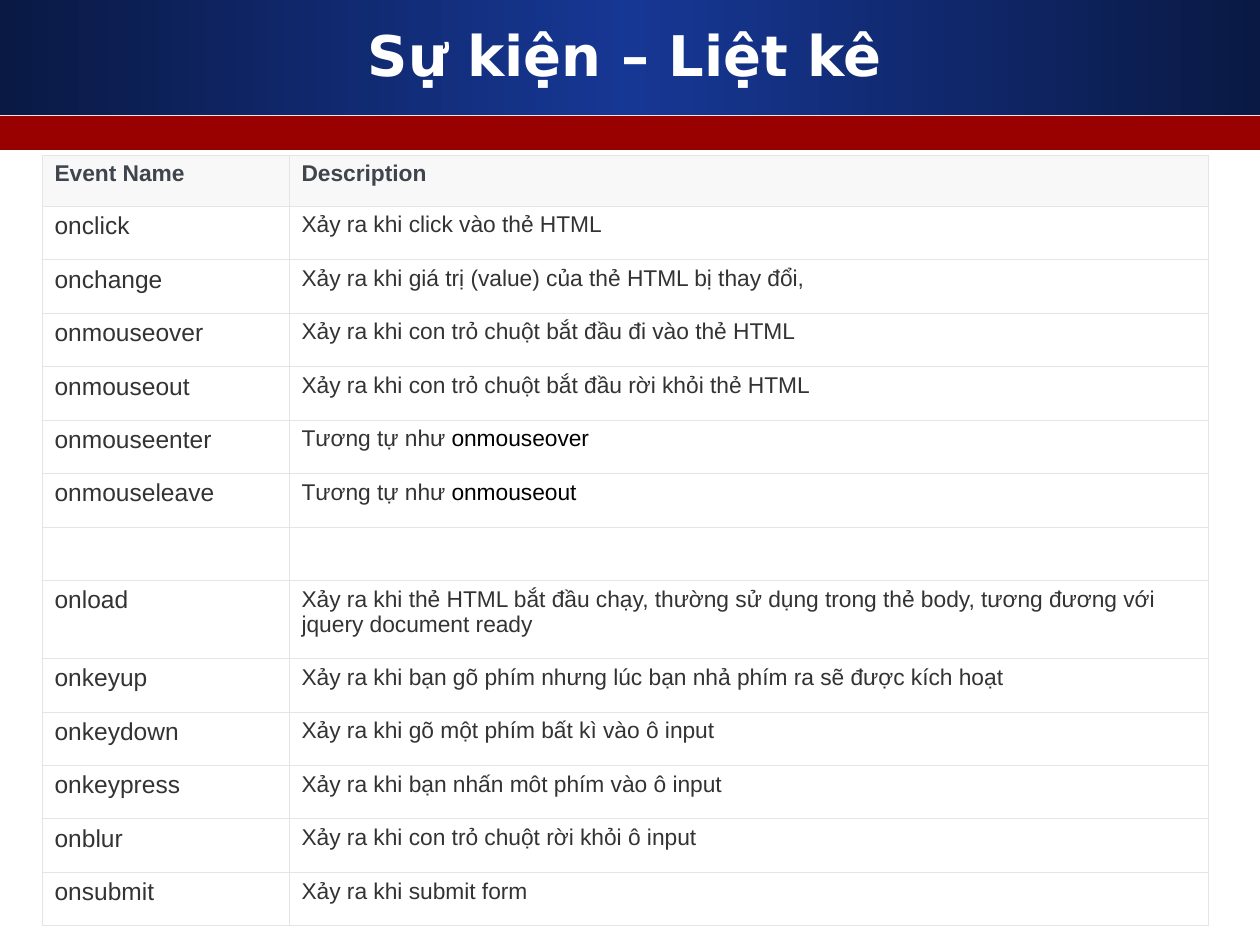
from copy import deepcopy

from lxml import etree
from pptx import Presentation
from pptx.dml.color import RGBColor
from pptx.enum.shapes import MSO_SHAPE
from pptx.enum.text import MSO_ANCHOR, PP_ALIGN
from pptx.oxml.ns import qn
from pptx.util import Pt

RECTANGLE = MSO_SHAPE.RECTANGLE
MIDDLE = MSO_ANCHOR.MIDDLE
CENTER = PP_ALIGN.CENTER

TITLE = "Sự kiện – Liệt kê"
HEADINGS = ("Event Name", "Description")
# Each description is a list of pieces; a second piece names a related event.
EVENTS = [
    ("onclick", ["Xảy ra khi click vào thẻ HTML"]),
    ("onchange", ["Xảy ra khi giá trị (value) của thẻ HTML bị thay đổi,"]),
    ("onmouseover", ["Xảy ra khi con trỏ chuột bắt đầu đi vào thẻ HTML"]),
    ("onmouseout", ["Xảy ra khi con trỏ chuột bắt đầu rời khỏi thẻ HTML"]),
    ("onmouseenter", ["Tương tự như ", "onmouseover"]),
    ("onmouseleave", ["Tương tự như ", "onmouseout"]),
    ("", []),
    ("onload", ["Xảy ra khi thẻ HTML bắt đầu chạy, thường sử dụng trong thẻ body, "
                "tương đương với jquery document ready"]),
    ("onkeyup", ["Xảy ra khi bạn gõ phím nhưng lúc bạn nhả phím ra sẽ được kích hoạt"]),
    ("onkeydown", ["Xảy ra khi gõ một phím bất kì vào ô input"]),
    ("onkeypress", ["Xảy ra khi bạn nhấn môt phím vào ô input"]),
    ("onblur", ["Xảy ra khi con trỏ chuột rời khỏi ô input"]),
    ("onsubmit", ["Xảy ra khi submit form"]),
]
TWO_LINE_EVENT = "onload"

NAVY, BLUE, RED, WHITE = "0A1944", "163794", "990000", "FFFFFF"
HEADING_FILL, HEADING_TEXT = "F8F8F8", "40454D"
BODY_TEXT, RELATED_TEXT, BORDER = "333333", "000000", "E5E5E5"

PX = 914400 // 126
SLIDE = (1260, 945)
BANNER = (0, 0, 1260, 115)
STRIPE = (0, 116, 1260, 34)
TITLE_BOX = (42, 21, 1166, 78)
TABLE_BOX = (42, 155, 1166, 771)
NAME_WIDTH, HEADING_HEIGHT, TWO_LINE_HEIGHT = 247, 51, 78


def px(*lengths):
    return [round(length * PX) for length in lengths]


def color(hex_string):
    return RGBColor.from_string(hex_string)


def add_band(slide, box):
    band = slide.shapes.add_shape(RECTANGLE, *px(*box))
    band.shadow.inherit = False
    band.line.fill.background()
    return band


def fill_gradient(shape, edge, middle):
    """Fill from edge to middle and back to edge, left to right."""
    fill = shape.fill
    fill.gradient()
    fill.gradient_angle = 0
    stops = shape._element.spPr.find(qn("a:gradFill")).find(qn("a:gsLst"))
    stops.insert(1, deepcopy(stops[0]))
    for stop, position, shade in zip(fill.gradient_stops, (0, 0.5, 1), (edge, middle, edge)):
        stop.position = position
        stop.color.rgb = color(shade)


def style_font(font, name, size, shade, bold=False):
    font.name, font.size, font.bold = name, Pt(size), bold
    font.color.rgb = color(shade)


def add_borders(cell):
    properties = cell._tc.get_or_add_tcPr()
    for index, side in enumerate(("lnL", "lnR", "lnT", "lnB")):
        line = etree.Element(qn(f"a:{side}"), w=str(Pt(0.34)))
        solid = etree.SubElement(line, qn("a:solidFill"))
        etree.SubElement(solid, qn("a:srgbClr"), val=BORDER)
        properties.insert(index, line)


def fill_cell(cell, pieces, size, shades, background, bold=False):
    cell.fill.solid()
    cell.fill.fore_color.rgb = color(background)
    add_borders(cell)
    paragraph = cell.text_frame.paragraphs[0]
    paragraph.space_after = Pt(15)
    for piece, shade in zip(pieces, shades):
        run = paragraph.add_run()
        run.text = piece
        style_font(run.font, "Arial", size, shade, bold)


def add_title(slide):
    frame = slide.shapes.add_textbox(*px(*TITLE_BOX)).text_frame
    frame.word_wrap = True
    frame.vertical_anchor = MIDDLE
    frame.text = TITLE
    paragraph = frame.paragraphs[0]
    paragraph.alignment = CENTER
    paragraph.line_spacing = 0.8
    style_font(paragraph.runs[0].font, "DejaVu Sans", 32, WHITE, True)


def add_event_table(slide):
    table = slide.shapes.add_table(len(EVENTS) + 1, 2, *px(*TABLE_BOX)).table
    width, height = TABLE_BOX[2:]
    table.columns[0].width, table.columns[1].width = px(NAME_WIDTH, width - NAME_WIDTH)

    one_line_height = (height - HEADING_HEIGHT - TWO_LINE_HEIGHT) / (len(EVENTS) - 1)
    heights = [HEADING_HEIGHT] + [
        TWO_LINE_HEIGHT if name == TWO_LINE_EVENT else one_line_height for name, _ in EVENTS]
    for row, row_height in zip(table.rows, px(*heights)):
        row.height = row_height

    for column, heading in enumerate(HEADINGS):
        fill_cell(table.cell(0, column), [heading], 13, [HEADING_TEXT], HEADING_FILL, True)
    for row, (name, description) in enumerate(EVENTS, 1):
        fill_cell(table.cell(row, 0), [name] if name else [], 14, [BODY_TEXT], WHITE)
        fill_cell(table.cell(row, 1), description, 13, [BODY_TEXT, RELATED_TEXT], WHITE)


def main():
    presentation = Presentation()
    presentation.slide_width, presentation.slide_height = px(*SLIDE)
    slide = presentation.slides.add_slide(presentation.slide_layouts[6])
    fill_gradient(add_band(slide, BANNER), NAVY, BLUE)
    stripe = add_band(slide, STRIPE)
    stripe.fill.solid()
    stripe.fill.fore_color.rgb = color(RED)
    add_title(slide)
    add_event_table(slide)
    presentation.save("out.pptx")


if __name__ == "__main__":
    main()
